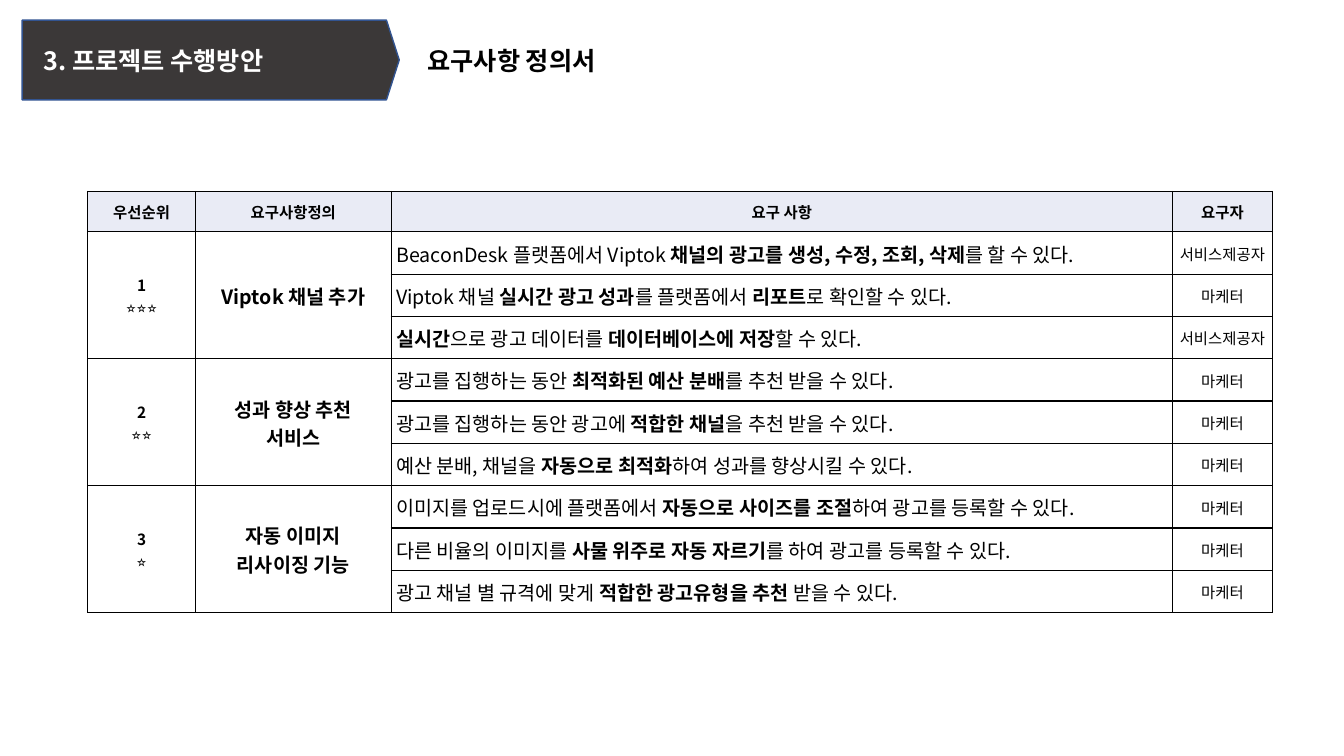
from lxml import etree
from pptx import Presentation, util as u
from pptx.dml.color import RGBColor
from pptx.enum import shapes, text
from pptx.oxml.ns import qn

FONT = "Noto Sans CJK KR"
BLACK = RGBColor(0x00, 0x00, 0x00)
WHITE = RGBColor(0xFF, 0xFF, 0xFF)
CHARCOAL = RGBColor(0x3B, 0x38, 0x38)
NAVY = RGBColor(0x32, 0x54, 0x91)
PALE_BLUE = RGBColor(0xE9, 0xEB, 0xF5)

HEADINGS = ["우선순위", "요구사항정의", "요구 사항", "요구자"]
COLUMN_WIDTHS = [1.07, 1.94, 7.75, 0.99]
HEADING_HEIGHT, ROW_HEIGHT = 0.4, 0.42
PROVIDER, MARKETER = "서비스제공자", "마케터"

# Stars, feature lines, then (requirement, requester); "|" switches bold on and off
FEATURES = [
    ("⭐⭐⭐", ["Viptok 채널 추가"], [
        ("BeaconDesk 플랫폼에서 Viptok |채널의 광고를 생성, 수정, 조회, 삭제|를 할 수 있다.", PROVIDER),
        ("Viptok 채널 |실시간 광고 성과|를 플랫폼에서 |리포트|로 확인할 수 있다.", MARKETER),
        ("|실시간|으로 광고 데이터를 |데이터베이스에 저장|할 수 있다.", PROVIDER),
    ]),
    ("⭐⭐", ["성과 향상 추천", "서비스"], [
        ("광고를 집행하는 동안 |최적화된 예산 분배|를 추천 받을 수 있다.", MARKETER),
        ("광고를 집행하는 동안 광고에 |적합한 채널|을 추천 받을 수 있다.", MARKETER),
        ("예산 분배, 채널을 |자동으로 최적화|하여 성과를 향상시킬 수 있다.", MARKETER),
    ]),
    ("⭐", ["자동 이미지", "리사이징 기능"], [
        ("이미지를 업로드시에 플랫폼에서 |자동으로 사이즈를 조절|하여 광고를 등록할 수 있다.", MARKETER),
        ("다른 비율의 이미지를 |사물 위주로 자동 자르기|를 하여 광고를 등록할 수 있다.", MARKETER),
        ("광고 채널 별 규격에 맞게 |적합한 광고유형을 추천 |받을 수 있다.", MARKETER),
    ]),
]


def add_run(paragraph, words, size, bold=True, color=BLACK):
    run = paragraph.add_run()
    run.text = words
    run.font.size, run.font.bold, run.font.name = u.Pt(size), bold, FONT
    run.font.color.rgb = color
    east_asian = etree.SubElement(run.font._element, qn("a:ea"))
    east_asian.set("typeface", FONT)


def style_cell(cell, fill):
    cell.fill.solid()
    cell.fill.fore_color.rgb = fill
    cell.vertical_anchor = text.MSO_ANCHOR.MIDDLE
    cell.margin_left = cell.margin_right = cell.margin_top = u.Inches(0.01)
    cell.margin_bottom = 0
    # Black border on all four sides
    properties = cell._tc.get_or_add_tcPr()
    for place, side in enumerate(("a:lnL", "a:lnR", "a:lnT", "a:lnB")):
        border = etree.Element(qn(side), w=str(u.Pt(1)))
        solid = etree.SubElement(border, qn("a:solidFill"))
        etree.SubElement(solid, qn("a:srgbClr"), val=str(BLACK))
        properties.insert(place, border)


def write_centered(cell, lines, size, bold=True):
    frame = cell.text_frame
    for number, line in enumerate(lines):
        paragraph = frame.add_paragraph() if number else frame.paragraphs[0]
        paragraph.alignment = text.PP_ALIGN.CENTER
        add_run(paragraph, line, size, bold)


def write_requirement(cell, marked):
    cell.margin_left = u.Inches(0.05)
    paragraph = cell.text_frame.paragraphs[0]
    paragraph.alignment = text.PP_ALIGN.LEFT
    for number, words in enumerate(marked.split("|")):
        if words:
            add_run(paragraph, words, 14, bold=number % 2 == 1)


def add_header(slide, left, top, width, height):
    # Section arrow
    plate_width = 3.74
    section = slide.shapes.add_shape(
        shapes.MSO_SHAPE.PENTAGON, u.Inches(left), u.Inches(top),
        u.Inches(plate_width), u.Inches(height))
    section.adjustments[0] = 0.16
    section.shadow.inherit = False
    section.fill.solid()
    section.fill.fore_color.rgb = CHARCOAL
    section.line.color.rgb = NAVY
    section.line.width = u.Pt(1)
    frame = section.text_frame
    frame.margin_left = u.Inches(0.21)
    frame.vertical_anchor = text.MSO_ANCHOR.MIDDLE
    frame.paragraphs[0].alignment = text.PP_ALIGN.LEFT
    add_run(frame.paragraphs[0], "3. 프로젝트 수행방안", 18, color=WHITE)

    # Slide title
    title = slide.shapes.title
    title_left = left + plate_width + 0.18
    title.left, title.top = u.Inches(title_left), u.Inches(top)
    title.width, title.height = u.Inches(left + width - title_left), u.Inches(height)
    frame = title.text_frame
    frame.auto_size = text.MSO_AUTO_SIZE.NONE
    frame.vertical_anchor = text.MSO_ANCHOR.MIDDLE
    frame.paragraphs[0].alignment = text.PP_ALIGN.LEFT
    add_run(frame.paragraphs[0], "요구사항 정의서", 18)


def add_requirements(slide, left, top, width, height):
    row_count = 1 + sum(len(items) for _, _, items in FEATURES)
    table = slide.shapes.add_table(
        row_count, len(HEADINGS), u.Inches(left), u.Inches(top),
        u.Inches(width), u.Inches(height)).table
    table.first_row = table.horz_banding = False
    for column, column_width in zip(table.columns, COLUMN_WIDTHS):
        column.width = u.Inches(column_width)
    for number, row in enumerate(table.rows):
        row.height = u.Inches(ROW_HEIGHT if number else HEADING_HEIGHT)
        for cell in row.cells:
            style_cell(cell, WHITE if number else PALE_BLUE)

    # Heading row
    for number, heading in enumerate(HEADINGS):
        write_centered(table.cell(0, number), [heading], 11)

    # Feature groups
    first = 1
    for priority, (stars, feature, items) in enumerate(FEATURES, 1):
        last = first + len(items) - 1
        for column in (0, 1):
            table.cell(first, column).merge(table.cell(last, column))
        write_centered(table.cell(first, 0), [str(priority), stars], 11)
        write_centered(table.cell(first, 1), feature, 14)
        for row, (requirement, requester) in enumerate(items, first):
            write_requirement(table.cell(row, 2), requirement)
            write_centered(table.cell(row, 3), [requester], 11, bold=False)
        first = last + 1


def main():
    deck = Presentation()
    deck.slide_width, deck.slide_height = u.Inches(13.33), u.Inches(7.5)
    slide = deck.slides.add_slide(deck.slide_layouts.get_by_name("Title Only"))
    add_header(slide, 0.22, 0.2, 10.58, 0.79)
    add_requirements(slide, 0.87, 1.9, 11.75, 4.18)
    deck.save("out.pptx")


if __name__ == "__main__":
    main()
